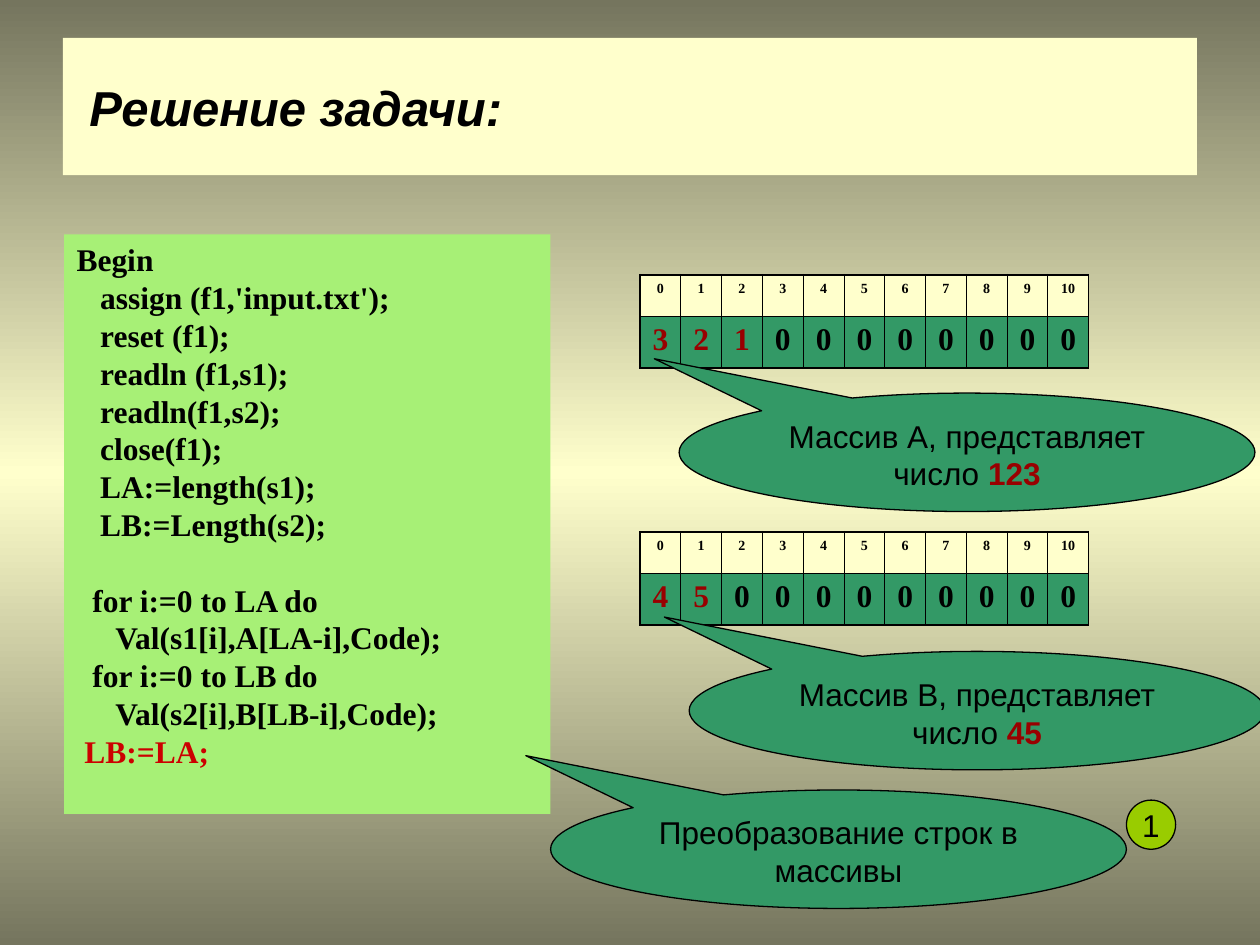
from copy import deepcopy

from lxml import etree
from pptx import Presentation
from pptx.dml.color import RGBColor
from pptx.enum import shapes, text
from pptx.oxml import ns
from pptx.util import Inches, Pt

BLACK = RGBColor(0x00, 0x00, 0x00)
CREAM = RGBColor(0xFF, 0xFF, 0xCC)
OLIVE = RGBColor(0x75, 0x75, 0x5E)
GREEN = RGBColor(0x33, 0x99, 0x66)
LIGHT_GREEN = RGBColor(0xA7, 0xF0, 0x76)
LIME = RGBColor(0x99, 0xCC, 0x00)
DARK_RED = RGBColor(0x99, 0x00, 0x00)
RED = RGBColor(0xCC, 0x00, 0x00)

BODY = {"name": "Arial", "size": Pt(18), "bold": False}
CODE = {"name": "Times New Roman", "size": Pt(18), "bold": True}
INDEX = {**CODE, "size": Pt(8)}
TITLE = {"name": "Arial", "size": Pt(28), "bold": True, "italic": True}

LINE_PITCH = Pt(21.6)
THIN, THICK = Pt(0.45), Pt(1.08)
COLUMNS = 11

CODE_LINES = [
    "Begin",
    "   assign (f1,'input.txt');",
    "   reset (f1);",
    "   readln (f1,s1);",
    "   readln(f1,s2);",
    "   close(f1);",
    "   LA:=length(s1);",
    "   LB:=Length(s2);",
    "  for i:=0 to LA do",
    "     Val(s1[i],A[LA-i],Code);",
    "  for i:=0 to LB do",
    "     Val(s2[i],B[LB-i],Code);",
    " LB:=LA;",
]
LOOPS_START = 8


def add_run(paragraph, words, style, color=BLACK):
    run = paragraph.add_run()
    run.text = words
    for name, value in style.items():
        setattr(run.font, name, value)
    run.font.color.rgb = color


def add_box(slide, kind, box, fill, outlined=False, **frame_format):
    shape = slide.shapes.add_shape(kind, *(Inches(length) for length in box))
    shape.shadow.inherit = False
    shape.fill.solid()
    shape.fill.fore_color.rgb = fill
    if outlined:
        shape.line.color.rgb = BLACK
        shape.line.width = Pt(0.75)
    else:
        shape.line.fill.background()
    settings = {"word_wrap": True, "vertical_anchor": text.MSO_ANCHOR.TOP, **frame_format}
    for name, value in settings.items():
        setattr(shape.text_frame, name, value)
    return shape


def paint_background(slide):
    fill = slide.background.fill
    fill.gradient()
    fill.gradient_angle = 90
    first, last = fill.gradient_stops
    for stop, position in ((first, 0), (last, 1)):
        stop.color.rgb = OLIVE
        stop.position = position
    stops = fill._fill._gradFill.find(ns.qn("a:gsLst"))
    stops.insert(1, deepcopy(stops[0]))
    middle = fill.gradient_stops[1]
    middle.color.rgb = CREAM
    middle.position = 0.5


def add_title(slide, box):
    shape = add_box(slide, shapes.MSO_SHAPE.RECTANGLE, box, CREAM,
                    vertical_anchor=text.MSO_ANCHOR.MIDDLE, margin_left=Inches(0.21))
    paragraph = shape.text_frame.paragraphs[0]
    paragraph.alignment = text.PP_ALIGN.LEFT
    add_run(paragraph, "Решение задачи:", TITLE)


def add_code(slide, box):
    frame = add_box(slide, shapes.MSO_SHAPE.RECTANGLE, box, LIGHT_GREEN).text_frame
    last = len(CODE_LINES) - 1
    for number, line in enumerate(CODE_LINES):
        paragraph = frame.add_paragraph() if number else frame.paragraphs[0]
        paragraph.alignment = text.PP_ALIGN.LEFT
        paragraph.line_spacing = LINE_PITCH
        if number == LOOPS_START:
            paragraph.space_before = LINE_PITCH
        add_run(paragraph, line, CODE, RED if number == last else BLACK)


def set_borders(cell, widths):
    properties = cell._tc.get_or_add_tcPr()
    for place, (side, width) in enumerate(widths.items()):
        line = etree.Element(ns.qn(f"a:ln{side}"), w=str(int(width)))
        fill = etree.SubElement(line, ns.qn("a:solidFill"))
        etree.SubElement(fill, ns.qn("a:srgbClr"), val=str(BLACK))
        properties.insert(place, line)


def add_array(slide, box, digits):
    """Index row above a value row; digits fill the first cells, zeros the rest."""
    table = slide.shapes.add_table(2, COLUMNS, *(Inches(length) for length in box)).table
    table.first_row = table.horz_banding = False
    for column in table.columns:
        column.width = Inches(box[2] / COLUMNS)
    for row, height in zip(table.rows, (0.33, 0.41)):
        row.height = Inches(height)
    values = digits.ljust(COLUMNS, "0")
    rows = [(range(COLUMNS), INDEX, CREAM), (values, CODE, GREEN)]
    for row, (contents, style, fill) in enumerate(rows):
        for column, content in enumerate(contents):
            cell = table.cell(row, column)
            cell.fill.solid()
            cell.fill.fore_color.rgb = fill
            paragraph = cell.text_frame.paragraphs[0]
            paragraph.alignment = text.PP_ALIGN.CENTER
            marked = row == 1 and column < len(digits)
            add_run(paragraph, str(content), style, DARK_RED if marked else BLACK)
            set_borders(cell, {
                "L": THICK if column == 0 else THIN,
                "R": THICK if column == COLUMNS - 1 else THIN,
                "T": THICK if row == 0 else THIN,
                "B": THICK if row == 1 else THIN,
            })


def add_callout(slide, box, words, number=""):
    shape = add_box(slide, shapes.MSO_SHAPE.OVAL_CALLOUT, box, GREEN, outlined=True)
    shape.adjustments[0], shape.adjustments[1] = -0.543, -0.79
    paragraph = shape.text_frame.paragraphs[0]
    paragraph.alignment = text.PP_ALIGN.CENTER
    paragraph.line_spacing = LINE_PITCH
    add_run(paragraph, words, BODY)
    if number:
        add_run(paragraph, number, {**BODY, "bold": True}, DARK_RED)


def add_step_badge(slide, box, number):
    shape = add_box(slide, shapes.MSO_SHAPE.OVAL, box, LIME, outlined=True,
                    word_wrap=False, vertical_anchor=text.MSO_ANCHOR.MIDDLE)
    paragraph = shape.text_frame.paragraphs[0]
    paragraph.alignment = text.PP_ALIGN.CENTER
    add_run(paragraph, number, BODY)


def main():
    presentation = Presentation()
    presentation.slide_width, presentation.slide_height = Inches(10), Inches(7.5)
    slide = presentation.slides.add_slide(presentation.slide_layouts[6])
    paint_background(slide)

    # Arrays and the callouts that explain them
    for top, digits in ((2.18, "321"), (4.22, "45")):
        add_array(slide, (5.08, top, 3.56, 0.74), digits)
    add_callout(slide, (5.39, 3.12, 4.57, 0.94), "Массив А, представляет число ", "123")
    add_callout(slide, (5.47, 5.17, 4.57, 0.94), "Массив В, представляет число ", "45")

    # Program and its step
    add_code(slide, (0.51, 1.86, 3.86, 4.6))
    add_callout(slide, (4.37, 6.27, 4.57, 0.94), "Преобразование строк в массивы")
    add_step_badge(slide, (8.94, 6.35, 0.39, 0.39), "1")

    add_title(slide, (0.5, 0.3, 9, 1.09))
    presentation.save("out.pptx")


if __name__ == "__main__":
    main()
